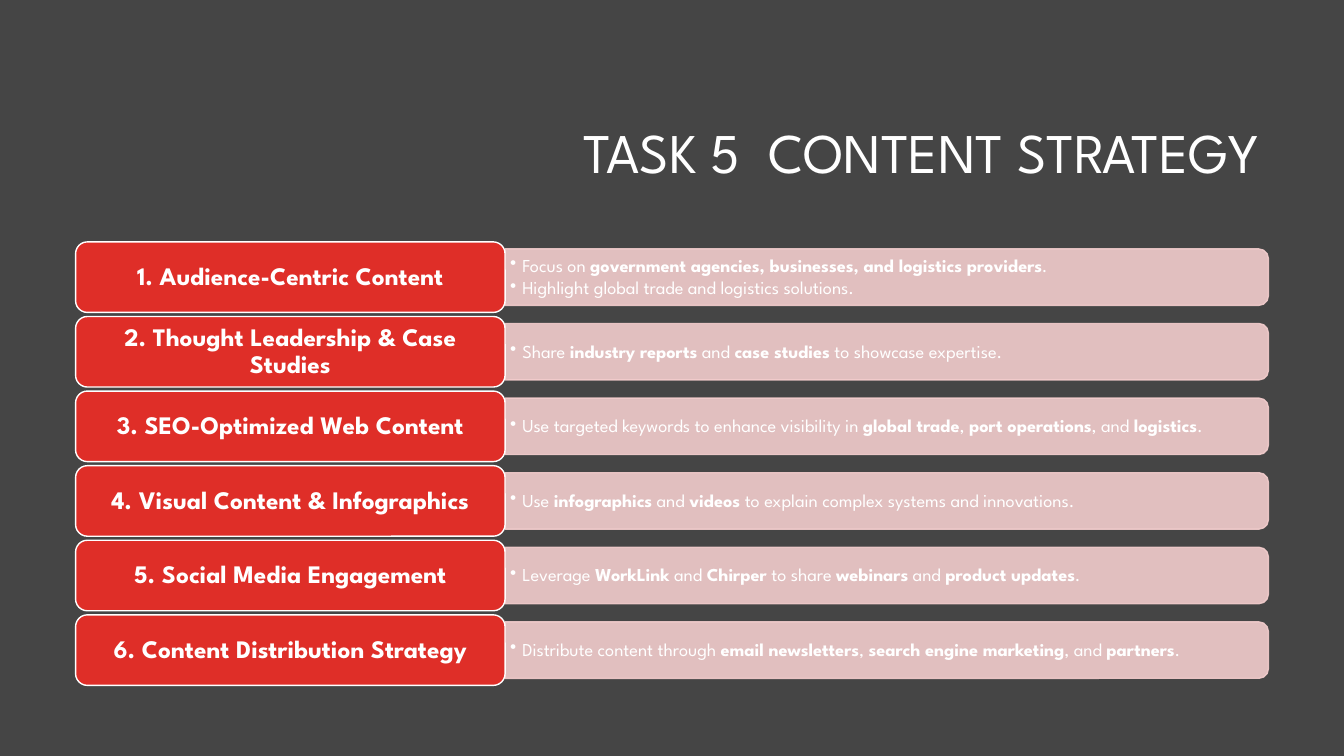
from dataclasses import dataclass

from lxml.etree import SubElement
from pptx import Presentation
from pptx.dml.color import RGBColor
from pptx.enum.shapes import MSO_SHAPE
from pptx.enum.text import MSO_ANCHOR, PP_ALIGN
from pptx.oxml.ns import qn
from pptx.util import Inches, Pt


@dataclass(frozen=True)
class Theme:
    font: str = "League Spartan"
    background: str = "454545"
    text: str = "FFFFFF"
    card: str = "DF2E28"
    bar: str = "F3CDCD"
    bar_opacity: int = 90
    title_size: int = 40
    card_size: int = 18
    bullet_size: int = 13


# Bold spans are wrapped in asterisks.
STRATEGIES = [
    ("1. Audience-Centric Content", [
        "Focus on *government agencies, businesses, and logistics providers*.",
        "Highlight global trade and logistics solutions."]),
    ("2. Thought Leadership & Case Studies", [
        "Share *industry reports* and *case studies* to showcase expertise."]),
    ("3. SEO-Optimized Web Content", [
        "Use targeted keywords to enhance visibility in "
        "*global trade*, *port operations*, and *logistics*."]),
    ("4. Visual Content & Infographics", [
        "Use *infographics* and *videos* to explain complex systems and innovations."]),
    ("5. Social Media Engagement", [
        "Leverage *WorkLink* and *Chirper* to share *webinars* and *product updates*."]),
    ("6. Content Distribution Strategy", [
        "Distribute content through *email newsletters*, "
        "*search engine marketing*, and *partners*."]),
]

CARD_LEFT, CARD_WIDTH, CARD_HEIGHT = 0.75, 4.26, 0.7
FIRST_TOP, ROW_PITCH = 2.4, 0.74
BAR_LEFT, BAR_LENGTH, BAR_HEIGHT = 5.01, 7.57, 0.56


def apply_format(target, values):
    for name, value in values.items():
        setattr(target, name, value)


class SlideBuilder:
    def __init__(self, page, theme):
        self.page = page
        self.theme = theme
        fill = page.background.fill
        fill.solid()
        fill.fore_color.rgb = RGBColor.from_string(theme.background)

    def shape(self, kind, left, top, width, height, fill, line, opacity=100):
        shape = self.page.shapes.add_shape(
            kind, Inches(left), Inches(top), Inches(width), Inches(height))
        shape.shadow.inherit = False
        shape.line.width = Pt(1)
        for paint, color in ((shape.fill, fill), (shape.line.fill, line)):
            paint.solid()
            paint.fore_color.rgb = RGBColor.from_string(color)
        if opacity < 100:
            for color in shape._element.spPr.iter(qn("a:srgbClr")):
                SubElement(color, qn("a:alpha"), val=str(opacity * 1000))
        return shape

    def set_text(self, box, lines, size, align, margins, bold=False, bulleted=False):
        """Fill a box; asterisks in a line switch bold on and off."""
        frame = box.text_frame
        side, edge = (Inches(margin) for margin in margins)
        apply_format(frame, {
            "word_wrap": True, "vertical_anchor": MSO_ANCHOR.MIDDLE,
            "margin_left": side, "margin_right": side,
            "margin_top": edge, "margin_bottom": edge})
        for index, line in enumerate(lines):
            para = frame.paragraphs[0] if index == 0 else frame.add_paragraph()
            apply_format(para, {"alignment": align, "line_spacing": 0.9})
            if bulleted:
                para.space_after = Pt(2)
                self.bullet(para)
            for part, text in enumerate(line.split("*")):
                span = para.add_run()
                span.text = text
                apply_format(span.font, {
                    "name": self.theme.font, "size": Pt(size),
                    "bold": bold or part % 2 == 1})
                span.font.color.rgb = RGBColor.from_string(self.theme.text)

    def bullet(self, para):
        properties = para._p.get_or_add_pPr()
        indent = Inches(0.12)
        properties.set("marL", str(indent))
        properties.set("indent", str(-indent))
        SubElement(properties, qn("a:buChar"), char="•")

    def text(self, left, top, width, height, lines, size, align, margins, **options):
        box = self.page.shapes.add_textbox(
            Inches(left), Inches(top), Inches(width), Inches(height))
        self.set_text(box, lines, size, align, margins, **options)

    def title(self, wording):
        self.text(3.17, 0.84, 9.42, 1.41, [wording], self.theme.title_size,
                  PP_ALIGN.RIGHT, (0.1, 0.05))

    def bar(self, middle, lines):
        """Draw an upright bar turned a quarter, so its rounded end faces right."""
        theme = self.theme
        bar = self.shape(
            MSO_SHAPE.ROUND_2_SAME_RECTANGLE,
            BAR_LEFT + (BAR_LENGTH - BAR_HEIGHT) / 2, middle - BAR_LENGTH / 2,
            BAR_HEIGHT, BAR_LENGTH, theme.bar, theme.bar, theme.bar_opacity)
        bar.rotation = 90
        self.text(BAR_LEFT, middle - 0.25, 7.55, 0.51, lines, theme.bullet_size,
                  PP_ALIGN.LEFT, (0.05, 0.03), bulleted=True)

    def card(self, top, heading):
        card = self.shape(MSO_SHAPE.ROUNDED_RECTANGLE, CARD_LEFT, top, CARD_WIDTH,
                          CARD_HEIGHT, self.theme.card, self.theme.text)
        self.set_text(card, [heading], self.theme.card_size, PP_ALIGN.CENTER,
                      (0.1, 0.07), bold=True)


def main():
    deck = Presentation()
    apply_format(deck, {"slide_width": Inches(13.33), "slide_height": Inches(7.5)})
    builder = SlideBuilder(deck.slides.add_slide(deck.slide_layouts[6]), Theme())
    builder.title("TASK 5  CONTENT STRATEGY")
    for row, (heading, lines) in enumerate(STRATEGIES):
        top = FIRST_TOP + row * ROW_PITCH
        builder.bar(top + CARD_HEIGHT / 2, lines)
        builder.card(top, heading)
    deck.save("out.pptx")


if __name__ == "__main__":
    main()
